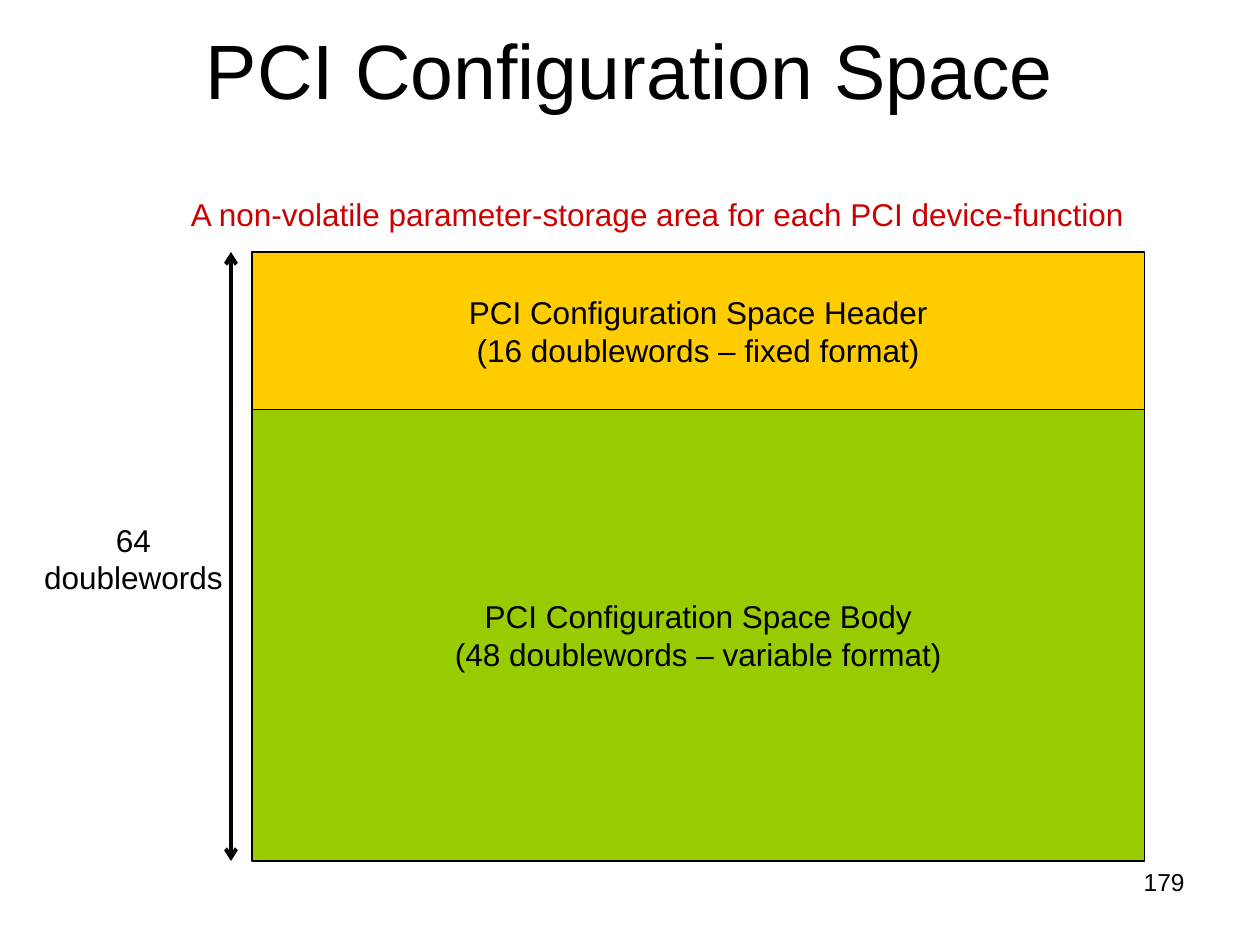
from lxml import etree
from pptx import Presentation
from pptx.dml.color import RGBColor
from pptx.enum.shapes import MSO_CONNECTOR, MSO_SHAPE
from pptx.enum.text import MSO_ANCHOR, PP_ALIGN
from pptx.oxml.ns import qn
from pptx.util import Pt

LEFT, CENTER, RIGHT = PP_ALIGN.LEFT, PP_ALIGN.CENTER, PP_ALIGN.RIGHT
TOP, MIDDLE = MSO_ANCHOR.TOP, MSO_ANCHOR.MIDDLE
RECTANGLE = MSO_SHAPE.RECTANGLE
STRAIGHT = MSO_CONNECTOR.STRAIGHT

FONT = "Arial"
COLORS = {
    "ink": "000000",
    "note": "CC0000",
    "header": "FFCC00",
    "body": "99CC00",
}
TITLE_ONLY = 5
SPACE_LEFT, SPACE_TOP, SPACE_WIDTH = 144, 144, 510
HEADER_HEIGHT, BODY_HEIGHT = 90, 258


def color(name):
    return RGBColor.from_string(COLORS[name])


def write(frame, lines, size=18, ink="ink", align=CENTER, anchor=TOP, wrap=False):
    frame.word_wrap = wrap
    frame.vertical_anchor = anchor
    for index, line in enumerate(lines):
        paragraph = frame.paragraphs[0] if index == 0 else frame.add_paragraph()
        paragraph.alignment = align
        run = paragraph.add_run()
        run.text = line
        run.font.name = FONT
        run.font.size = Pt(size)
        run.font.color.rgb = color(ink)


def add_title(slide, text):
    title = slide.shapes.title
    title.left, title.top = Pt(36), Pt(-6)
    title.width, title.height = Pt(648), Pt(90)
    write(title.text_frame, [text], size=44, anchor=MIDDLE, wrap=True)


def add_region(slide, top, height, fill, lines):
    region = slide.shapes.add_shape(
        RECTANGLE, Pt(SPACE_LEFT), Pt(top), Pt(SPACE_WIDTH), Pt(height))
    region.shadow.inherit = False
    region.fill.solid()
    region.fill.fore_color.rgb = color(fill)
    region.line.color.rgb = color("ink")
    region.line.width = Pt(0.75)
    write(region.text_frame, lines, anchor=MIDDLE)


def add_label(slide, left, top, width, height, lines, **style):
    label = slide.shapes.add_textbox(Pt(left), Pt(top), Pt(width), Pt(height))
    write(label.text_frame, lines, **style)


def add_extent_arrow(slide, x, top, bottom):
    extent = slide.shapes.add_connector(STRAIGHT, Pt(x), Pt(top), Pt(x), Pt(bottom))
    extent.line.color.rgb = color("ink")
    extent.line.width = Pt(2.25)
    outline = extent.line._get_or_add_ln()
    for end in ("a:headEnd", "a:tailEnd"):
        etree.SubElement(outline, qn(end), type="arrow")
    etree.SubElement(extent._element.spPr, qn("a:effectLst"))


def main():
    deck = Presentation()
    deck.slide_width, deck.slide_height = Pt(720), Pt(540)
    slide = deck.slides.add_slide(deck.slide_layouts[TITLE_ONLY])
    body_top = SPACE_TOP + HEADER_HEIGHT
    space_bottom = body_top + BODY_HEIGHT

    add_title(slide, "PCI Configuration Space")
    add_region(slide, body_top, BODY_HEIGHT, "body",
               ["PCI Configuration Space Body", "(48 doublewords – variable format)"])
    add_label(slide, 18, 294, 116.5, 50.4, ["64", "doublewords"])
    add_extent_arrow(slide, 132, SPACE_TOP, space_bottom)
    add_region(slide, SPACE_TOP, HEADER_HEIGHT, "header",
               ["PCI Configuration Space Header", "(16 doublewords – fixed format)"])
    add_label(slide, 102, 108, 548.5, 28.8,
              ["A non-volatile parameter-storage area for each PCI device-function"],
              ink="note", align=LEFT)
    add_label(slide, 516, space_bottom, 168, 37.5, ["179"],
              size=14, align=RIGHT, wrap=True)

    deck.save("out.pptx")


if __name__ == "__main__":
    main()
